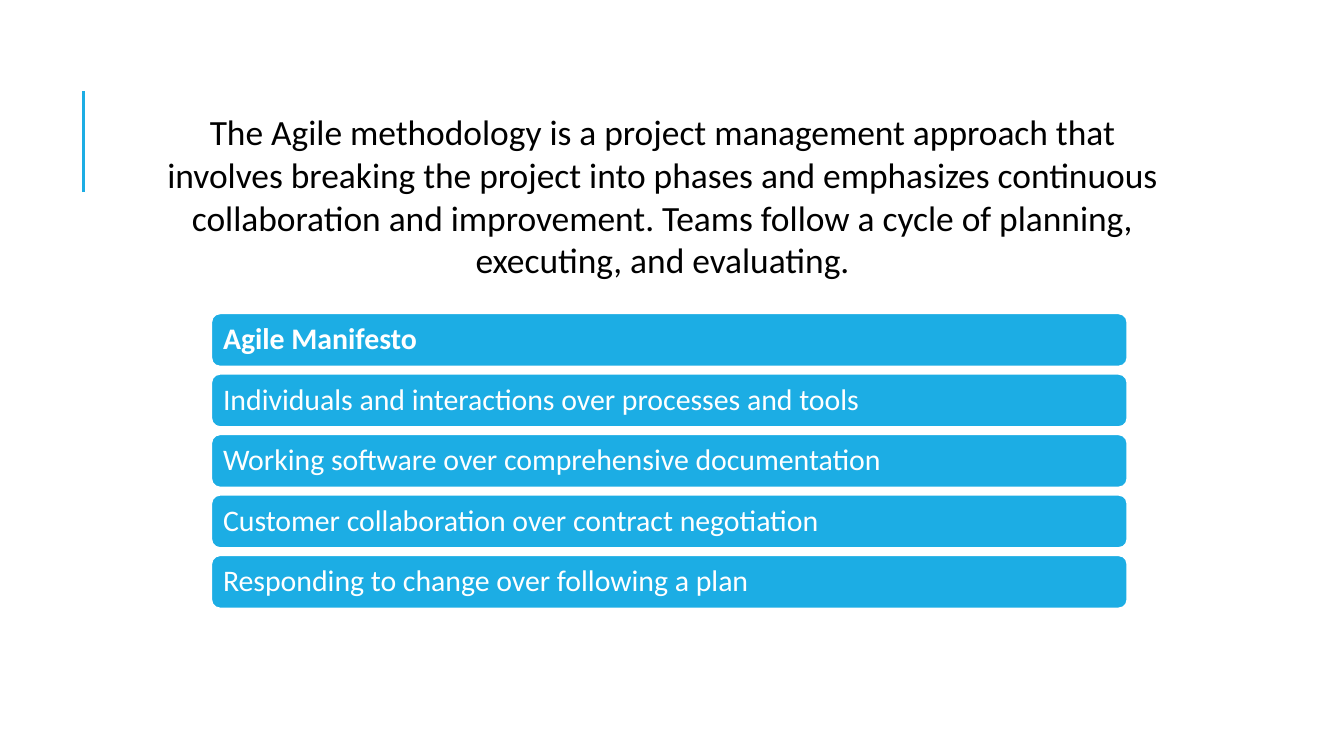
from pptx import Presentation
from pptx import util as u
from pptx.dml.color import RGBColor
from pptx.enum import shapes, text
from pptx.oxml.ns import qn
from lxml import etree

COLORS = {"accent": "1CADE4", "text": "000000", "light": "FFFFFF"}
INTRO = ("The Agile methodology is a project management approach that involves "
         "breaking the project into phases and emphasizes continuous collaboration "
         "and improvement. Teams follow a cycle of planning, executing, and evaluating.")
HEADING = "Agile Manifesto"
VALUES = [
    "Individuals and interactions over processes and tools",
    "Working software over comprehensive documentation",
    "Customer collaboration over contract negotiation",
    "Responding to change over following a plan",
]
BAR_TOP, BAR_STEP = 2.33, 0.45


def rgb(name):
    return RGBColor.from_string(COLORS[name])


def set_text(sp, content, size, color, align, inset, bold=False):
    tf = sp.text_frame
    tf.word_wrap = True
    tf.auto_size = text.MSO_AUTO_SIZE.NONE
    tf.vertical_anchor = text.MSO_ANCHOR.MIDDLE
    tf.margin_left = tf.margin_right = u.Inches(inset)
    tf.margin_top = tf.margin_bottom = u.Inches(inset)
    tf.text = content
    p = tf.paragraphs[0]
    p.alignment = align
    p.space_before = u.Pt(0)
    p.font.name = "Calibri"
    p.font.size = u.Pt(size)
    p.font.bold = bold
    p.font.color.rgb = rgb(color)
    return p


def add_accent_line(s, x, top, bottom):
    line = s.shapes.add_connector(shapes.MSO_CONNECTOR.STRAIGHT, u.Inches(x),
                                  u.Inches(bottom), u.Inches(x), u.Inches(top))
    line.line.color.rgb = rgb("accent")
    line.line.width = u.Pt(1.5)
    etree.SubElement(line._element.spPr, qn("a:effectLst"))


def add_intro(s):
    sp = s.placeholders[1]
    sp.left, sp.top = u.Inches(1.08), u.Inches(0.79)
    sp.width, sp.height = u.Inches(7.7), u.Inches(1.33)
    set_text(sp, INTRO, 19, "text", text.PP_ALIGN.CENTER, 0.1)


def add_bar(s, top, content, bold):
    sp = s.shapes.add_shape(shapes.MSO_SHAPE.ROUNDED_RECTANGLE, u.Inches(1.57),
                            u.Inches(top), u.Inches(6.82), u.Inches(0.4))
    sp.shadow.inherit = False
    sp.fill.solid()
    sp.fill.fore_color.rgb = rgb("accent")
    sp.line.color.rgb = rgb("light")
    sp.line.width = u.Pt(1.25)
    p = set_text(sp, content, 16, "light", text.PP_ALIGN.LEFT, 0.07, bold)
    p.line_spacing = 0.9


def main():
    prs = Presentation()
    prs.slide_width = u.Inches(10)
    prs.slide_height = u.Inches(10 * 9 / 16)  # 16:9
    s = prs.slides.add_slide(prs.slide_layouts[0])

    # The slide has no title
    title = s.shapes.title._element
    title.getparent().remove(title)

    # Accent line and introduction
    add_accent_line(s, 0.62, 0.68, 1.43)
    add_intro(s)

    # Manifesto bars, heading first
    for i, content in enumerate([HEADING] + VALUES):
        add_bar(s, BAR_TOP + i * BAR_STEP, content, bold=(i == 0))

    prs.save("out.pptx")


if __name__ == "__main__":
    main()
